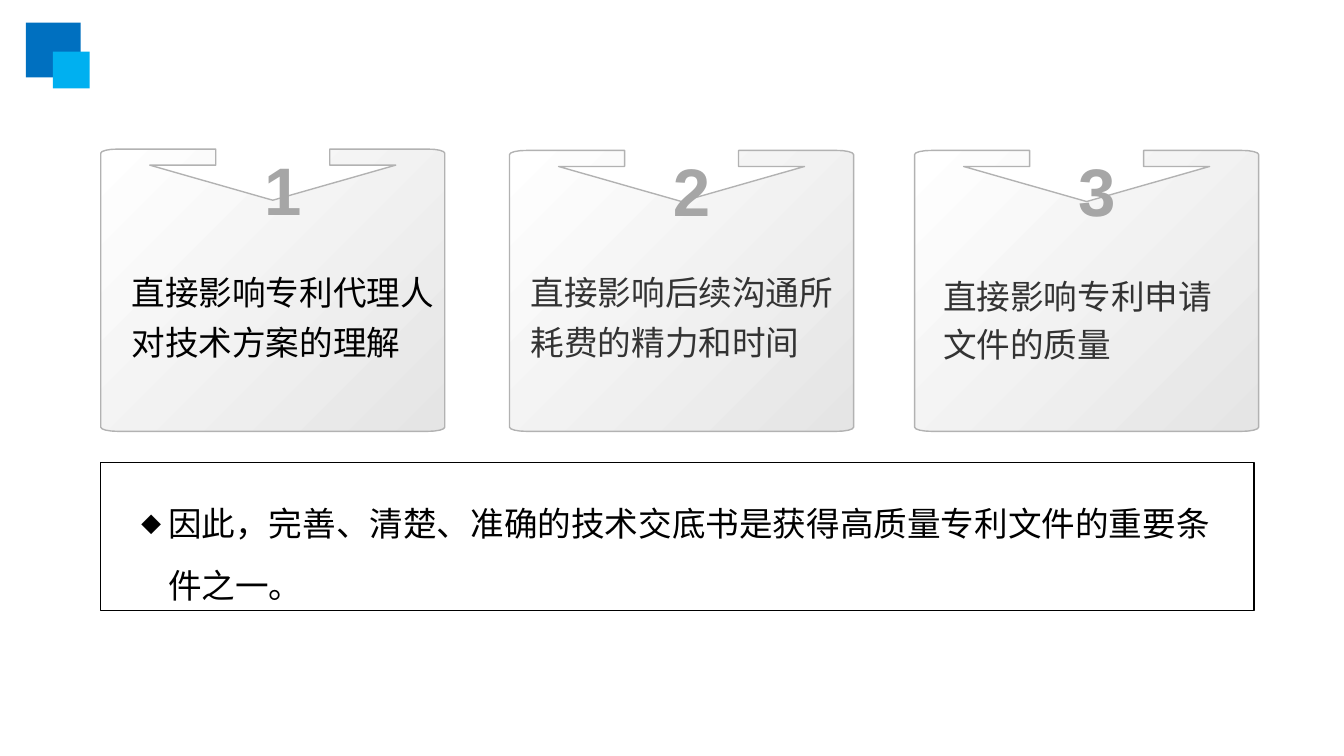
"""Build a slide with three numbered reason cards and a boxed conclusion."""
from math import cos, pi, sin

from lxml.etree import SubElement
from pptx import Presentation
from pptx.dml.color import RGBColor
from pptx.enum.shapes import MSO_SHAPE
from pptx.enum.text import MSO_ANCHOR, PP_ALIGN
from pptx.oxml.ns import qn
from pptx.util import Pt

BLUE = RGBColor(0x00, 0x70, 0xC0)
SKY = RGBColor(0x00, 0xB0, 0xF0)
WHITE = RGBColor(0xFF, 0xFF, 0xFF)
SILVER = RGBColor(0xE5, 0xE5, 0xE5)
EDGE = RGBColor(0xB2, 0xB2, 0xB2)
GREY = RGBColor(0xA6, 0xA6, 0xA6)
DARK = RGBColor(0x33, 0x33, 0x33)
BLACK = RGBColor(0x00, 0x00, 0x00)

CARD_W = 184.3
BOTTOM = 231.1
CORNER = (9, 2.2)
DIGIT = {"name": "Arial", "size": Pt(36), "bold": True}
BODY = {"name": "Noto Sans CJK SC", "size": Pt(18)}


class Deck:
    def __init__(self, prs):
        self.s = prs.slides.add_slide(prs.slide_layouts[6])

    def outline(self, shape, color):
        shape.shadow.inherit = False
        if color is None:
            shape.line.fill.background()
        else:
            shape.line.color.rgb = color
            shape.line.width = Pt(0.75)

    def rect(self, box, fill, line=None):
        shape = self.s.shapes.add_shape(MSO_SHAPE.RECTANGLE, *map(Pt, box))
        shape.fill.solid()
        shape.fill.fore_color.rgb = fill
        self.outline(shape, line)

    def card(self, left, top):
        half, (rx, ry) = CARD_W / 2, CORNER
        arc = [(rx * (1 - cos(a)), ry * (1 - sin(a))) for a in (i * pi / 8 for i in range(5))]
        side = [(0, 27.4), (65.9, 8.6), (30.5, 8.6), (30.5, 0)]
        side += [(half - x, y) for x, y in reversed(arc)]
        side += [(half - x, BOTTOM - top - y) for x, y in arc]
        points = side + [(-x, y) for x, y in reversed(side[1:])]
        points = [(Pt(left + half + x), Pt(top + y)) for x, y in points]
        builder = self.s.shapes.build_freeform(*points[0])
        builder.add_line_segments(points[1:], close=True)
        shape = builder.convert_to_shape()
        shape.fill.gradient()
        shape.fill.gradient_angle = 315
        for stop, color, position in zip(shape.fill.gradient_stops, (WHITE, SILVER), (0, 1)):
            stop.color.rgb = color
            stop.position = position
        self.outline(shape, EDGE)

    def text(self, box, text, font, color, frame, para):
        tf = self.s.shapes.add_textbox(*map(Pt, box)).text_frame
        p = tf.paragraphs[0]
        r = p.add_run()
        r.text = text
        for target, values in ((tf, frame), (p, para), (r.font, font)):
            for name, value in values.items():
                setattr(target, name, value)
        r.font.color.rgb = color
        SubElement(r.font._element, qn("a:ea")).set("typeface", font["name"])
        return p

    def indent(self, p, margin, first=0, bullet=None):
        pPr = p._p.get_or_add_pPr()
        pPr.set("marL", str(Pt(margin)))
        pPr.set("indent", str(Pt(first)))
        if bullet:
            SubElement(pPr, qn("a:buSzPct")).set("val", "60000")
            SubElement(pPr, qn("a:buFont")).set("typeface", BODY["name"])
            SubElement(pPr, qn("a:buChar")).set("char", bullet)


def main():
    prs = Presentation()
    prs.slide_width, prs.slide_height = Pt(720), Pt(405)
    deck = Deck(prs)
    deck.rect((13.9, 12.2, 29.3, 29.3), BLUE)
    deck.rect((28.3, 27.6, 19.7, 19.7), SKY)

    cards = [
        (54, 79.9, (27.4, 137.5, 213.8, 59), 26.8, BLACK, "直接影响专利代理人对技术方案的理解"),
        (273, 80.6, (241.2, 137.5, 213.8, 59), 26.8, DARK, "直接影响后续沟通所耗费的精力和时间"),
        (490, 80.6, (462.2, 140.4, 203.8, 57.6), 25.7, DARK, "直接影响专利申请文件的质量"),
    ]
    plain = dict.fromkeys(("margin_left", "margin_right", "margin_top", "margin_bottom"), 0)
    plain["word_wrap"] = False
    middle = {"word_wrap": True, "vertical_anchor": MSO_ANCHOR.MIDDLE}
    for number, (left, top, box, spacing, color, reason) in enumerate(cards, 1):
        deck.card(left, top)
        digit_box = (left + CARD_W / 2 - 6.5, top - 0.6, 23.8, 41.4)
        deck.text(digit_box, str(number), DIGIT, GREY, plain, {"alignment": PP_ALIGN.CENTER})
        para = {"line_spacing": Pt(spacing), "space_before": Pt(4)}
        deck.indent(deck.text(box, reason, BODY, color, middle, para), 36)

    deck.rect((54, 247.9, 617.8, 79.2), WHITE, BLACK)
    p = deck.text((65.5, 255, 607, 72.7),
                  "因此，完善、清楚、准确的技术交底书是获得高质量专利文件的重要条件之一。",
                  BODY, BLACK, {"word_wrap": True}, {"line_spacing": Pt(32.7)})
    deck.indent(p, 17.5, -14, "◆")
    prs.save("out.pptx")


if __name__ == "__main__":
    main()
